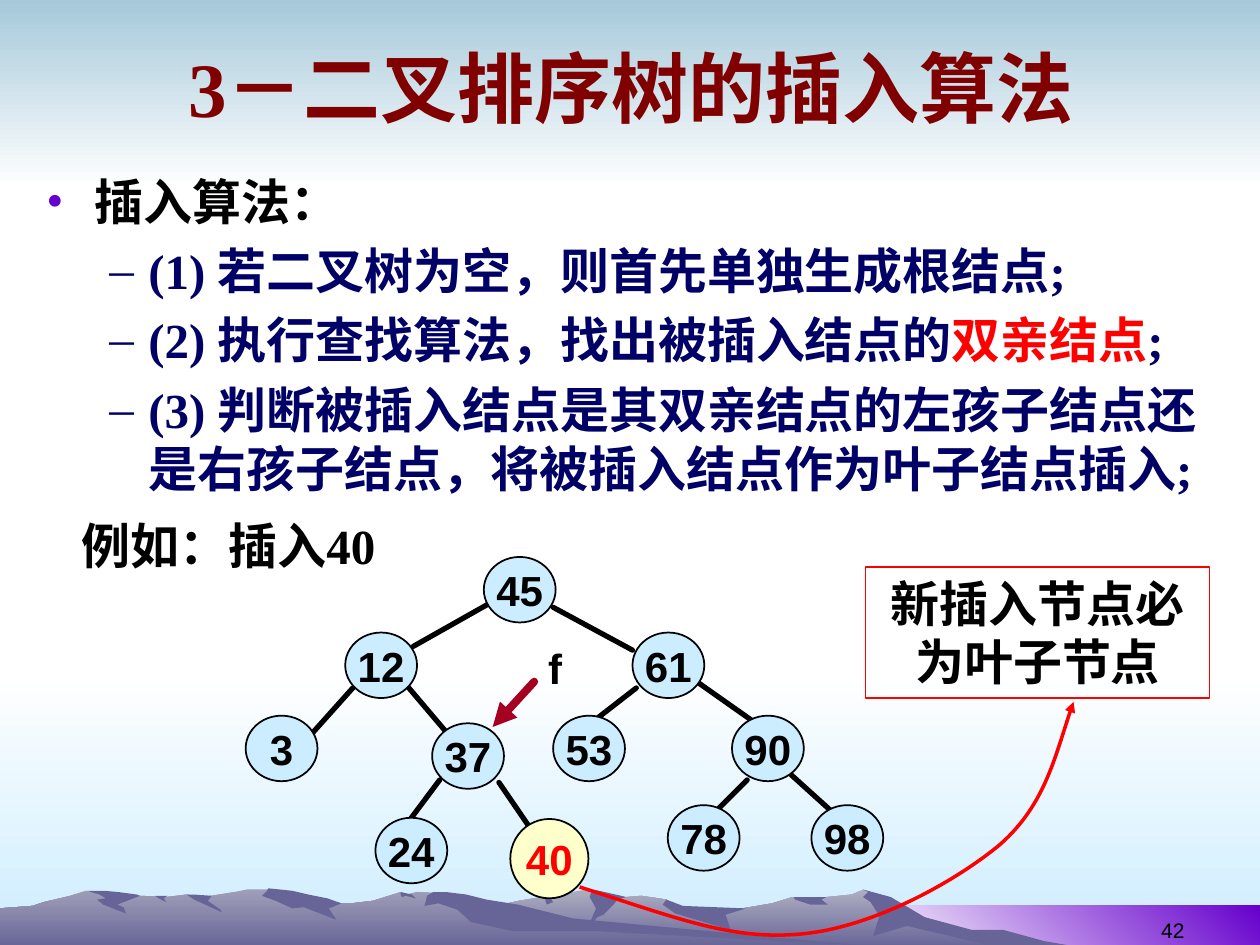
import pptx
import pptx.dml.color
import pptx.enum.shapes
import pptx.enum.text
import pptx.oxml.ns
import pptx.oxml.xmlchemy
from pptx.util import Inches

COLORS = {
    "white": "FFFFFF", "black": "000000", "sky": "A6C9DA", "ice": "CCECFF", "purple": "6600CC",
    "ridge": "676597", "ridge_right": "AEAEC2", "ridge_left": "9F9EB8", "title": "800000",
    "navy": "000066", "red": "FF0000", "pointer": "A50021", "new_node": "FFFFCC",
}
SERIF, SANS = "Times New Roman", "Arial"
ALIGN = pptx.enum.text.PP_ALIGN
ANCHOR = pptx.enum.text.MSO_ANCHOR
SHAPE = pptx.enum.shapes.MSO_SHAPE

RIGHT_RIDGE = [
    (8.02, 7.46), (7.78, 7.4), (7.64, 7.38), (7.23, 7.25), (7.02, 7.12), (6.85, 7.06), (6.76, 7.1),
    (6.56, 7.12), (6.29, 7.12), (6.13, 7.17), (5.66, 7.25), (5.36, 7.21), (5.29, 7.14), (5.09, 7.11),
    (4.86, 7.13), (4.74, 7.07), (4.65, 7.06), (4.5, 7.09), (4.38, 7.12), (4.3, 7.12), (4.12, 7.15),
    (3.94, 7.19), (3.55, 7.25), (3.27, 7.31), (2.77, 7.45), (2.58, 7.52), (8.21, 7.52)]
LEFT_RIDGE = [
    (6.9, 7.52), (6.67, 7.5), (4.32, 7.32), (3.54, 7.09), (3.31, 7.08), (3.23, 7.1), (3.18, 7.08),
    (2.96, 7.15), (2.79, 7.17), (2.71, 7.17), (2.6, 7.15), (2.36, 7.17), (2.23, 7.08), (2.15, 7.06),
    (1.96, 7.06), (1.86, 7.08), (1.68, 7.11), (1.6, 7.12), (1.48, 7.1), (1.32, 7.12), (1.11, 7.11),
    (0.94, 7.12), (0.68, 7.07), (0.56, 7.11), (0.35, 7.16), (0.26, 7.19), (0, 7.21), (0, 7.52)]
RIGHT_SHADOWS = [
    [(7.96, 7.38), (7.71, 7.38), (7.34, 7.28), (7.07, 7.12), (6.85, 7.06), (6.89, 7.08), (6.85, 7.12),
     (6.91, 7.16), (6.98, 7.27), (6.93, 7.43), (7.2, 7.35), (7.92, 7.52), (8.58, 7.52), (8.29, 7.47)],
    [(4.71, 7.06), (4.74, 7.07), (4.69, 7.09), (4.68, 7.12), (4.73, 7.21), (4.65, 7.4), (4.74, 7.28),
     (4.79, 7.26), (4.87, 7.18), (4.9, 7.14), (4.97, 7.12), (4.93, 7.11)],
    [(5.29, 7.14), (5.26, 7.18), (5.36, 7.25), (5.8, 7.38), (5.76, 7.26), (5.92, 7.21), (5.42, 7.19)],
    [(6.5, 7.12), (6.3, 7.12), (6.31, 7.14), (6.43, 7.18), (6.57, 7.18), (6.52, 7.14), (6.56, 7.12)],
    [(4.33, 7.15), (4.32, 7.12), (4.39, 7.11), (4.37, 7.13), (4.39, 7.16), (4.34, 7.18)]]
LEFT_SHADOWS = [
    [(2.12, 7.07), (2.08, 7.11), (2.19, 7.15), (2.32, 7.21), (2.41, 7.2), (2.67, 7.3), (2.61, 7.21),
     (2.71, 7.17), (2.6, 7.13), (2.45, 7.1), (2.32, 7.07), (2.13, 7.05)],
    [(3.7, 7.1), (3.54, 7.08), (3.44, 7.08), (3.39, 7.11), (3.37, 7.19), (3.48, 7.17), (3.63, 7.22),
     (3.74, 7.32), (4.07, 7.39), (4.72, 7.39), (6.9, 7.51), (4.55, 7.29), (4.11, 7.18), (3.86, 7.14)],
    [(3.18, 7.1), (3.18, 7.08), (3.27, 7.1), (3.3, 7.13), (3.22, 7.11), (3.19, 7.12)],
    [(1.54, 7.1), (1.68, 7.11), (1.65, 7.15), (1.75, 7.22), (1.76, 7.24), (1.54, 7.14), (1.48, 7.1)],
    [(1.33, 7.11), (1.3, 7.13), (1.32, 7.16), (1.26, 7.13), (1.23, 7.11)],
    [(1.09, 7.1), (1.11, 7.11), (0.93, 7.18), (0.98, 7.2), (1, 7.25), (0.82, 7.18), (0.77, 7.14),
     (0.84, 7.13), (0.79, 7.1), (0.69, 7.07), (0.83, 7.07), (0.94, 7.08)]]
NODES = [("45", 3.84, 4.42), ("12", 2.74, 5.02), ("3", 1.95, 5.68), ("37", 3.43, 5.74),
         ("53", 4.39, 5.68), ("90", 5.81, 5.68), ("24", 2.98, 6.49), ("78", 5.3, 6.39),
         ("98", 6.44, 6.39), ("61", 5.02, 5.02)]
EDGES = [(3.96, 6.21, 4.22, 6.59), (3.9, 4.78, 3.28, 5.13), (4.39, 4.82, 5.02, 5.16),
         (3.22, 5.43, 3.55, 5.82), (3.49, 6.19, 3.25, 6.51), (2.8, 5.46, 2.46, 5.84),
         (5.97, 5.72, 5.53, 5.41), (5.93, 6.19, 5.69, 6.43), (5.05, 5.46, 4.69, 5.74),
         (6.28, 6.15, 6.59, 6.43)]
STEPS = [
    [("(1) 若二叉树为空，则首先单独生成根结点;", "navy")],
    [("(2) 执行查找算法，找出被插入结点的", "navy"), ("双亲结点", "red"), (";", "navy")],
    [("(3) 判断被插入结点是其双亲结点的左孩子结点还是右孩子结点，将被插入结点作为叶子结点插入;", "navy")]]


def rgb(name):
    return pptx.dml.color.RGBColor.from_string(COLORS[name])


def add_element(parent, tag, **attrs):
    child = pptx.oxml.xmlchemy.OxmlElement(f"a:{tag}")
    for name, value in attrs.items():
        child.set(name, value)
    parent.append(child)
    return child


def paint(sp, fill=None, line=None, width=1):
    """Fill with a colour name, a (start, end, clockwise angle) gradient or nothing."""
    sp.shadow.inherit = False
    if fill is None:
        sp.fill.background()
    elif isinstance(fill, tuple):
        sp.fill.gradient()
        sp.fill.gradient_angle = 360 - fill[2]
        for position, stop in enumerate(sp.fill.gradient_stops):
            stop.color.rgb = rgb(fill[position])
            stop.position = position
    else:
        sp.fill.solid()
        sp.fill.fore_color.rgb = rgb(fill)
    if line:
        sp.line.color.rgb = rgb(line)
        sp.line.width = pptx.util.Pt(width)
    else:
        sp.line.fill.background()


def add_preset(s, kind, box, **style):
    sp = s.shapes.add_shape(kind, *map(Inches, box))
    paint(sp, **style)
    return sp


def add_outline(s, points, close=True, **style):
    pts = [(Inches(x), Inches(y)) for x, y in points]
    builder = s.shapes.build_freeform(*pts[0])
    builder.add_line_segments(pts[1:], close=close)
    sp = builder.convert_to_shape()
    paint(sp, **style)
    return sp


def add_line(s, ends, color, width):
    cn = s.shapes.add_connector(pptx.enum.shapes.MSO_CONNECTOR.STRAIGHT, *map(Inches, ends))
    cn.line.color.rgb = rgb(color)
    cn.line.width = pptx.util.Pt(width)
    cn.line._get_or_add_ln().set("cap", "rnd")
    add_element(cn._element.spPr, "effectLst")
    return cn


def add_arrowhead(sp):
    add_element(sp.line._get_or_add_ln(), "tailEnd", type="triangle")


def add_curve(s, points, color, width):
    """Draw a Bezier arrow: a start point, then three points for each segment."""
    sp = add_outline(s, points, close=False, line=color, width=width)
    lines = list(sp._element.iter(pptx.oxml.ns.qn("a:lnTo")))
    for i in range(0, len(lines), 3):
        bezier = add_element(lines[i].getparent(), "cubicBezTo")
        for line in lines[i:i + 3]:
            bezier.append(line[0])
            line.getparent().remove(line)
    add_arrowhead(sp)


def add_run(p, text, size, font, color, bold=True):
    r = p.add_run()
    r.text = text
    r.font.size, r.font.name, r.font.bold = pptx.util.Pt(size), font, bold
    r.font.color.rgb = rgb(color)


def write(sp, text, size, font, color="black", align=ALIGN.CENTER, anchor=ANCHOR.TOP, wrap=True, bold=True):
    tf = sp.text_frame
    tf.word_wrap, tf.vertical_anchor = wrap, anchor
    p = tf.paragraphs[0]
    p.alignment = align
    add_run(p, text, size, font, color, bold)


def add_text(s, box, *args, **kwargs):
    write(s.shapes.add_textbox(*map(Inches, box)), *args, **kwargs)


def add_bullet(p, char, color, left, hanging):
    pPr = p._p.get_or_add_pPr()
    pPr.set("marL", str(Inches(left)))
    pPr.set("indent", str(-Inches(hanging)))
    add_element(add_element(pPr, "buClr"), "srgbClr", val=COLORS[color])
    add_element(pPr, "buFont", typeface=SERIF)
    add_element(pPr, "buChar", char=char)


def add_steps(s):
    tf = s.shapes.add_textbox(*map(Inches, (0.27, 1.31, 9.45, 5.67))).text_frame
    tf.word_wrap = True
    add_bullet(tf.paragraphs[0], "•", "purple", 0.38, 0.38)
    add_run(tf.paragraphs[0], "插入算法：", 28, SERIF, "black")
    for step in STEPS:
        p = tf.add_paragraph()
        p.level = 1
        add_bullet(p, "–", "navy", 0.81, 0.31)
        p.space_before = pptx.util.Pt(6)
        for text, color in step:
            add_run(p, text, 28, SERIF, color)


def add_scenery(s):
    for box, fill in (((0, 5.33, 10, 2.17), ("white", "ice", 90)), ((0, 0, 10, 1.5), ("sky", "white", 90)),
                      ((6.83, 7.19, 3.17, 0.33), ("white", "purple", 315))):
        add_preset(s, SHAPE.RECTANGLE, box, fill=fill)
    for ridge, top, shadows in ((RIGHT_RIDGE, "ridge_right", RIGHT_SHADOWS),
                                (LEFT_RIDGE, "ridge_left", LEFT_SHADOWS)):
        add_outline(s, ridge, fill=(top, "ridge", 90))
        for shadow in shadows:
            add_outline(s, shadow, fill="ridge")


def add_node(s, label, box, fill="ice", color="black"):
    sp = add_preset(s, SHAPE.OVAL, box, fill=fill, line="black")
    write(sp, label, 24, SANS, color, anchor=ANCHOR.MIDDLE, wrap=False)


def add_tree(s):
    for ends in EDGES:
        add_line(s, ends, "black", 3)
    for label, x, y in NODES:
        add_node(s, label, (x, y, 0.57, 0.52))
    add_node(s, "40", (4.05, 6.5, 0.62, 0.63), "new_node", "red")
    add_text(s, (4.07, 5.05, 0.67, 0.5), "f", 24, SANS)
    add_arrowhead(add_line(s, (4.24, 5.41, 3.91, 5.77), "pointer", 4.5))


def main():
    prs = pptx.Presentation()
    prs.slide_width, prs.slide_height = Inches(10), Inches(7.5)
    s = prs.slides.add_slide(prs.slide_layouts[6])
    add_scenery(s)
    add_text(s, (0.51, 0.13, 9, 1.12), "3－二叉排序树的插入算法", 44, SERIF, "title", anchor=ANCHOR.MIDDLE)
    add_steps(s)
    add_text(s, (7.17, 7.03, 2.33, 0.5), "42", 12, SANS, align=ALIGN.RIGHT, anchor=ANCHOR.BOTTOM, bold=False)
    add_tree(s)
    add_text(s, (0.55, 4.04, 3.28, 0.57), "例如：插入40", 28, SERIF, align=ALIGN.LEFT)
    callout = add_preset(s, SHAPE.RECTANGLE, (6.87, 4.5, 2.73, 1.04), line="red", width=0.75)
    write(callout, "新插入节点必为叶子节点", 28, SERIF)
    add_curve(s, [(4.6, 7.04), (5.41, 7.3), (5.83, 7.47), (6.39, 7.41), (6.94, 7.35), (7.58, 7),
                  (7.94, 6.7), (8.29, 6.39), (8.38, 5.97), (8.52, 5.57)], "red", 2)
    prs.save("out.pptx")


if __name__ == "__main__":
    main()
